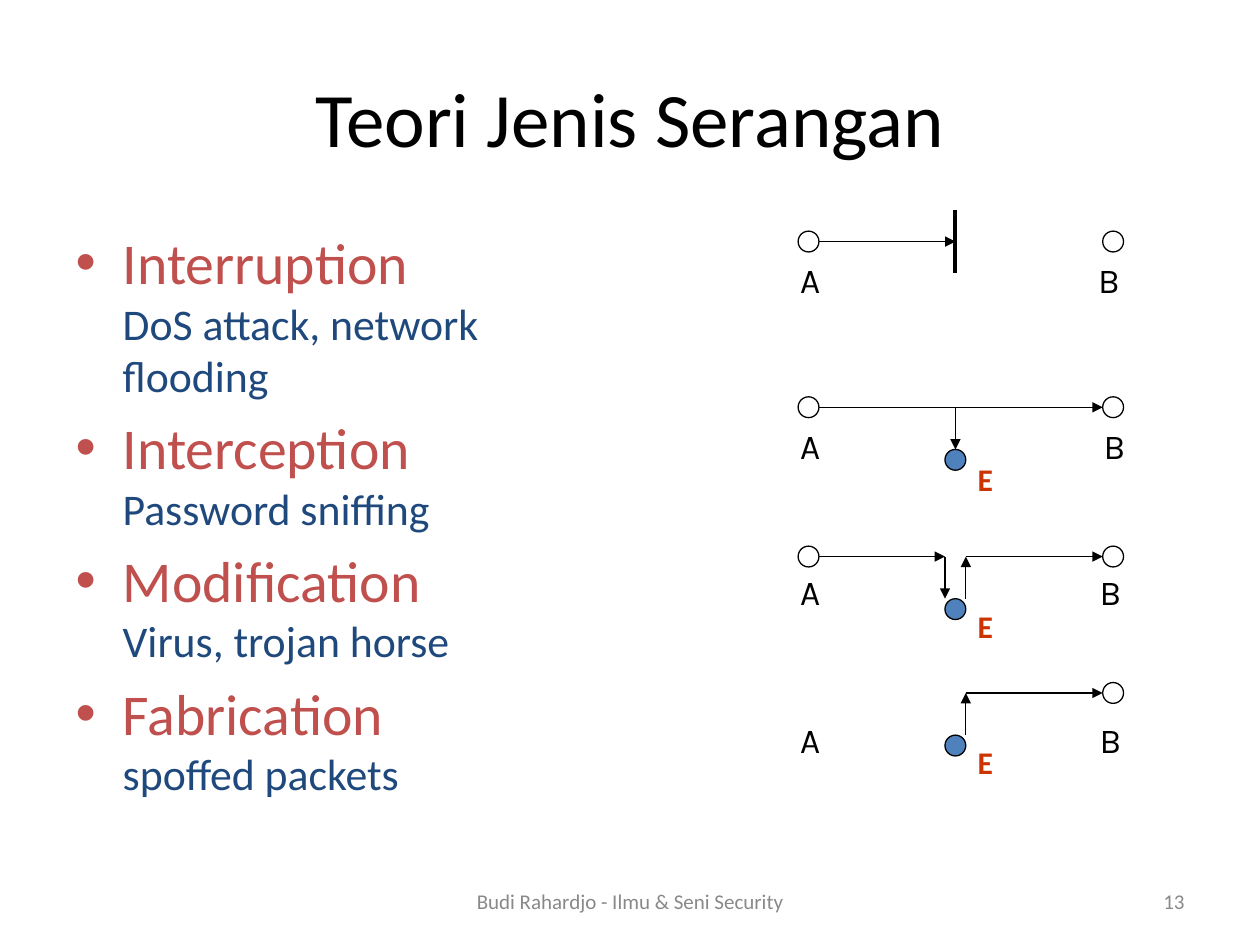
from dataclasses import dataclass

from lxml.etree import SubElement
from pptx import Presentation
from pptx.dml.color import RGBColor
from pptx.enum.shapes import MSO_CONNECTOR, MSO_SHAPE
from pptx.enum.text import MSO_ANCHOR, MSO_AUTO_SIZE, PP_ALIGN
from pptx.oxml.ns import qn
from pptx.util import Cm, Pt


@dataclass(frozen=True)
class Theme:
    """Colours, fonts and type sizes of the slide."""
    ink: str = "000000"
    grey: str = "898989"
    red: str = "C0504D"
    navy: str = "1F497D"
    blue: str = "4F81BD"
    alert: str = "CC3300"
    font: str = "Calibri"
    label_font: str = "Karla"
    title: int = 44
    head: int = 33
    detail: int = 25
    node: int = 20
    enemy: int = 18
    footer: int = 12


class AttackSlide:
    """Holds the theme and the current slide and draws its elements."""

    def __init__(self, prs, theme):
        self.theme = theme
        self.s = prs.slides.add_slide(prs.slide_layouts[1])

    def place(self, sp, box):
        """Move and size a shape."""
        for name, value in zip(("left", "top", "width", "height"), box):
            setattr(sp, name, Cm(value))

    def run(self, p, text, size, color, **extra):
        """Add a formatted run to a paragraph."""
        r = p.add_run()
        r.text = text
        fmt = {"name": self.theme.font, "size": Pt(size), **extra}
        for name, value in fmt.items():
            setattr(r.font, name, value)
        r.font.color.rgb = RGBColor.from_string(color)

    def title(self, text, box):
        """Fill the title placeholder."""
        sp = self.s.shapes.title
        self.place(sp, box)
        tf = sp.text_frame
        tf.vertical_anchor = MSO_ANCHOR.MIDDLE
        tf.auto_size = MSO_AUTO_SIZE.NONE
        p = tf.paragraphs[0]
        p.alignment = PP_ALIGN.CENTER
        self.run(p, text, self.theme.title, self.theme.ink)

    def bullets(self, items, box):
        """Fill the body placeholder with heads and their details."""
        t = self.theme
        sp = self.s.placeholders[1]
        self.place(sp, box)
        tf = sp.text_frame
        tf.auto_size = MSO_AUTO_SIZE.NONE
        for i, (head, detail) in enumerate(items):
            p = tf.add_paragraph() if i else tf.paragraphs[0]
            p.space_before = Pt(6.2)
            pPr = p._p.get_or_add_pPr()
            pPr.set("marL", str(Cm(0.95)))
            pPr.set("indent", str(Cm(-0.95)))
            clr = SubElement(pPr, qn("a:buClr"))
            SubElement(clr, qn("a:srgbClr"), val=t.red)
            SubElement(pPr, qn("a:buFont"), typeface="Arial")
            SubElement(pPr, qn("a:buChar"), char="•")
            self.run(p, head, t.head, t.red)
            p.add_line_break()
            self.run(p, detail, t.detail, t.navy)

    def text(self, text, box, size, color, align=PP_ALIGN.LEFT, **extra):
        """Add a fixed text box anchored in the middle."""
        sp = self.s.shapes.add_textbox(*map(Cm, box))
        tf = sp.text_frame
        fmt = {"word_wrap": True, "vertical_anchor": MSO_ANCHOR.MIDDLE}
        for name, value in fmt.items():
            setattr(tf, name, value)
        p = tf.paragraphs[0]
        p.alignment = align
        self.run(p, text, size, color, **extra)
        return tf

    def label(self, text, box, size, color, **extra):
        """Add a label that grows with its text."""
        tf = self.text(text, box, size, color, **extra)
        fmt = {"word_wrap": False, "vertical_anchor": MSO_ANCHOR.TOP,
               "auto_size": MSO_AUTO_SIZE.SHAPE_TO_FIT_TEXT}
        for name, value in fmt.items():
            setattr(tf, name, value)

    def node(self, x, y, radius, fill=None):
        """Draw a circle around a centre."""
        box = (x - radius, y - radius, 2 * radius, 2 * radius)
        sp = self.s.shapes.add_shape(MSO_SHAPE.OVAL, *map(Cm, box))
        sp.shadow.inherit = False
        if fill:
            sp.fill.solid()
            sp.fill.fore_color.rgb = RGBColor.from_string(fill)
        else:
            sp.fill.background()
        sp.line.color.rgb = RGBColor.from_string(self.theme.ink)
        sp.line.width = Pt(0.75)

    def line(self, x1, y1, x2, y2, width=0.75, arrow=True):
        """Draw a straight line, by default with an arrowhead."""
        ends = map(Cm, (x1, y1, x2, y2))
        sp = self.s.shapes.add_connector(MSO_CONNECTOR.STRAIGHT, *ends)
        sp.line.color.rgb = RGBColor.from_string(self.theme.ink)
        sp.line.width = Pt(width)
        if arrow:
            SubElement(sp.line._get_or_add_ln(), qn("a:tailEnd"), type="triangle")
        SubElement(sp._element.spPr, qn("a:effectLst"))


def main():
    """Build the slide."""
    prs = Presentation()
    prs.slide_width, prs.slide_height = Cm(25.4), Cm(19.05)
    t = Theme()
    slide = AttackSlide(prs, t)

    slide.text("Budi Rahardjo - Ilmu & Seni Security", (8.68, 17.65, 8.05, 1.02),
               t.footer, t.grey, PP_ALIGN.CENTER)
    slide.text("13", (18.2, 17.65, 5.93, 1.02), t.footer, t.grey, PP_ALIGN.RIGHT)
    slide.title("Teori Jenis Serangan", (1.27, 0.76, 22.86, 3.18))
    slide.bullets([("Interruption", "DoS attack, network flooding"),
                   ("Interception", "Password sniffing"),
                   ("Modification", "Virus, trojan horse"),
                   ("Fabrication", "spoffed packets")], (1.27, 4.45, 11.22, 12.57))

    a, e, b, rad, drop = 16.3, 19.26, 22.44, 0.21, 1.06
    start, end, west, east, down = a + rad, b - rad, e - rad, e + rad, drop - rad
    relay = [(east, down, east, 0), (east, 0, end, 0)]
    rows = [
        (4.87, 5.08, 21.89, None, True, [(start, 0, e, 0)]),
        (8.21, 8.43, 22, 9.14, True, [(start, 0, end, 0), (e, 0, e, down)]),
        (11.22, 11.38, 21.92, 12.12, True,
         [(start, 0, west, 0), (west, 0, west, down)] + relay),
        (13.97, 14.35, 21.92, 14.86, False, relay),
    ]
    for y, label_y, b_label, e_label, sender, arrows in rows:
        if sender:
            slide.node(a, y, rad)
        slide.node(b, y, rad)
        for x1, dy1, x2, dy2 in arrows:
            slide.line(x1, y + dy1, x2, y + dy2)
        for name, x in (("A", 15.88), ("B", b_label)):
            slide.label(name, (x, label_y, 0.97, 1.12), t.node, t.ink, name=t.label_font)
        if e_label:
            slide.node(e, y + drop, rad, t.blue)
            slide.label("E", (19.46, e_label, 0.81, 1.02), t.enemy, t.alert, bold=True)
    slide.line(e, 4.23, e, 5.5, 2.25, arrow=False)

    prs.save("out.pptx")


if __name__ == "__main__":
    main()
